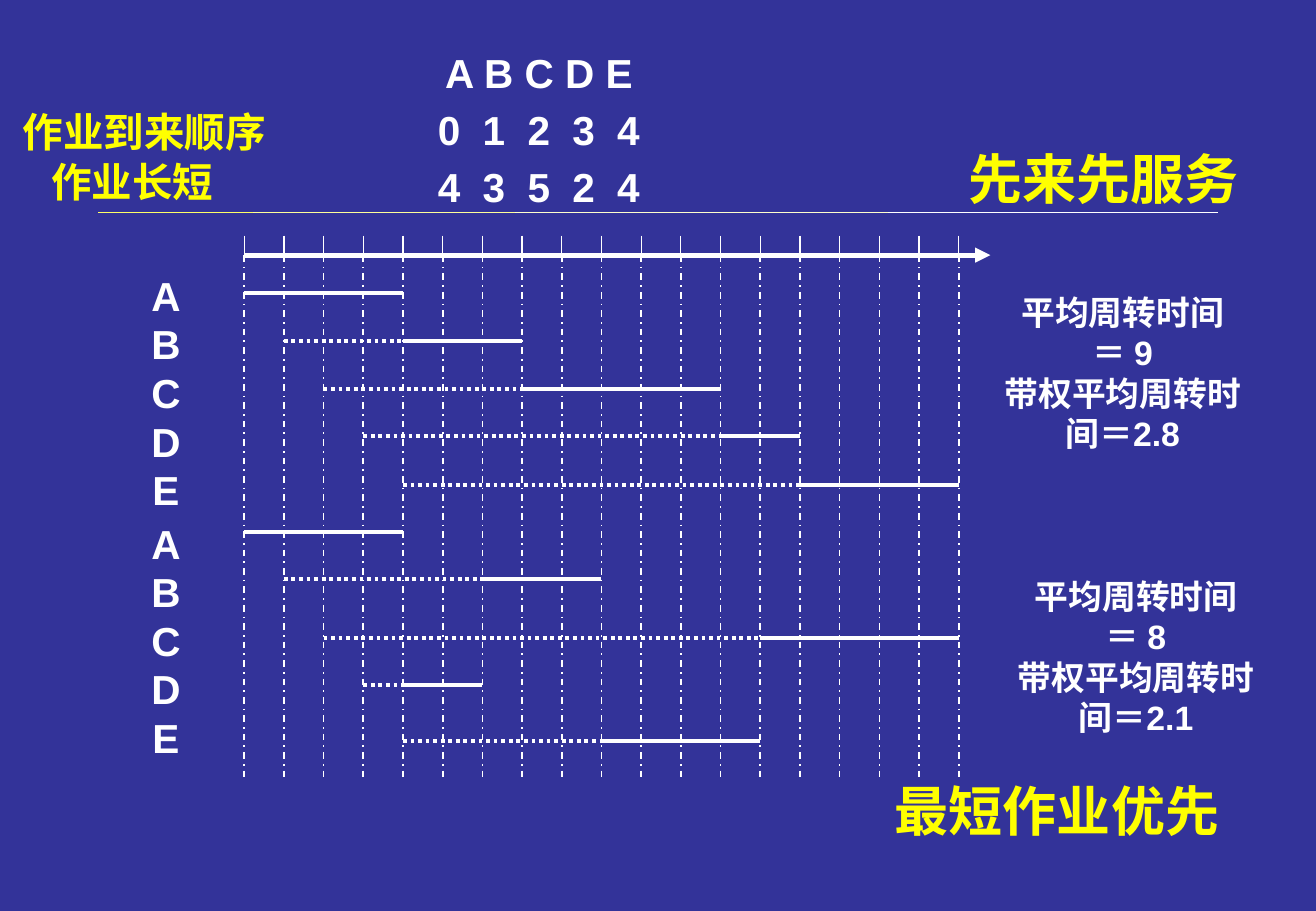
from lxml import etree
from pptx import Presentation
from pptx.dml.color import RGBColor
from pptx.enum import dml, shapes, text
from pptx.oxml.ns import qn
from pptx.util import Inches, Pt

WHITE, YELLOW = "FFFFFF", "FFFF00"
LATIN, CHINESE = "Arial", "Noto Sans CJK SC"
DASH = dml.MSO_LINE_DASH_STYLE

deck = Presentation()
deck.slide_width, deck.slide_height = Inches(10.83), Inches(7.5)
page = deck.slides.add_slide(deck.slide_layouts[6])
page.background.fill.solid()
page.background.fill.fore_color.rgb = RGBColor.from_string("333399")


def add_line(x1, y1, x2, y2, width, color=WHITE, dash=None):
    line = page.shapes.add_connector(
        shapes.MSO_CONNECTOR.STRAIGHT, Inches(x1), Inches(y1), Inches(x2), Inches(y2))
    line.line.width = Pt(width)
    line.line.color.rgb = RGBColor.from_string(color)
    if dash:
        line.line.dash_style = dash
    etree.SubElement(line._element.spPr, qn("a:effectLst"))
    return line


def add_text(left, top, width, height, lines, size, color=WHITE, font=LATIN, wrap=True):
    box = page.shapes.add_textbox(Inches(left), Inches(top), Inches(width), Inches(height))
    box.text_frame.word_wrap = wrap
    box.text_frame.text = "\n".join(lines)
    for para in box.text_frame.paragraphs:
        para.alignment = text.PP_ALIGN.CENTER
        para.font.size, para.font.bold, para.font.name = Pt(size), True, font
        para.font.color.rgb = RGBColor.from_string(color)
    return box


# Divider, fading from yellow to white
for x1, x2, color in [(7.31, 10.02, WHITE), (4.06, 7.31, "FFFFCC"),
                      (1.72, 4.24, "FFFF99"), (0.81, 2.08, "FFFF66")]:
    add_line(x1, 1.75, x2, 1.75, 0.75, color)

# Time axis with one tick and one guide per time unit
ORIGIN, UNITS, AXIS_Y = 2.01, 18, 2.1
UNIT = (7.89 - ORIGIN) / UNITS
axis = add_line(ORIGIN, AXIS_Y, 8.15, AXIS_Y, 3)
etree.SubElement(axis.line._get_or_add_ln(), qn("a:tailEnd"), type="triangle")
for unit in range(UNITS + 1):
    x = ORIGIN + unit * UNIT
    add_line(x, 1.94, x, AXIS_Y, 0.75)
    add_line(x, AXIS_Y, x, 6.43, 1, dash=DASH.DASH_DOT)

# Each job: height, arrival, start, finish; waiting is dotted, running is solid
first_come = [(2.41, 0, 0, 4), (2.81, 1, 4, 7), (3.2, 2, 7, 12), (3.59, 3, 12, 14), (3.99, 4, 14, 18)]
shortest_first = [(4.38, 0, 0, 4), (4.77, 1, 6, 9), (5.25, 2, 13, 18), (5.64, 3, 4, 6), (6.1, 4, 9, 13)]
for y, arrival, start, finish in first_come + shortest_first:
    arrival_x, start_x, finish_x = (ORIGIN + time * UNIT for time in (arrival, start, finish))
    if start > arrival:
        add_line(arrival_x, y, start_x, y, 2.25, dash=DASH.ROUND_DOT)
    add_line(start_x, y, finish_x, y, 2.25)

for top in (2.18, 4.22):
    add_text(1.14, top, 0.45, 2.12, "ABCDE", 24, wrap=False)

for left, top, mean, weighted in [(8.14, 2.35, "9", "2.8"), (8.25, 4.69, "8", "2.1")]:
    add_text(left, top, 2.2, 1.45,
             [f"平均周转时间 ＝ {mean}", f"带权平均周转时间＝{weighted}"], 20)

# Job table; the digits are spread wider than the letters
jobs = add_text(1.99, 0.35, 4.89, 1.5, ["A B C D E", "0 1 2 3 4", "4 3 5 2 4"], 24)
for para in jobs.text_frame.paragraphs[1:]:
    para.space_before = Pt(5)
    para.runs[0]._r.get_or_add_rPr().set("spc", "330")

add_text(6.95, 6.35, 3.5, 0.64, ["最短作业优先"], 32, YELLOW, CHINESE)
add_text(7.33, 1.15, 3.5, 0.64, ["先来先服务"], 32, YELLOW, CHINESE)
add_text(0.04, 0.83, 2.29, 0.51, ["作业到来顺序"], 24, YELLOW)
add_text(0.04, 1.24, 2.1, 0.51, ["作业长短"], 24, YELLOW)

deck.save("out.pptx")
